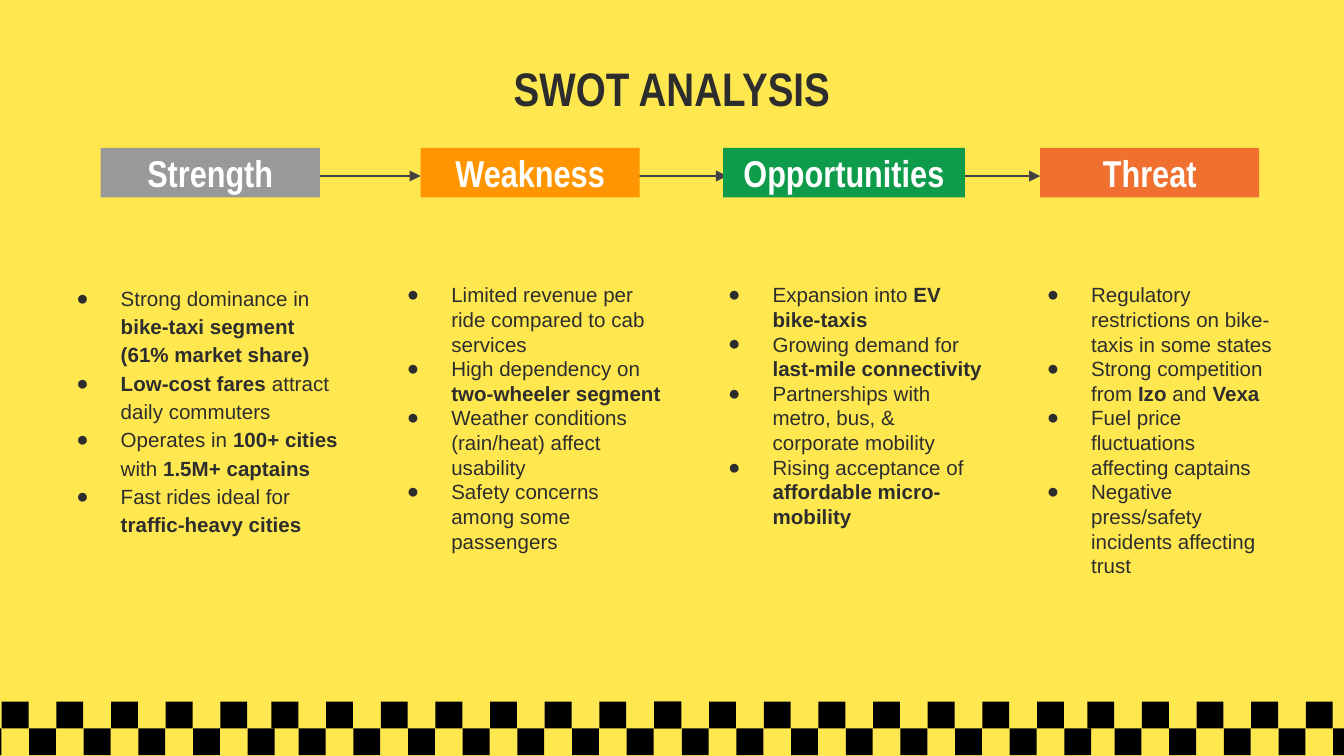
"""Build a SWOT analysis slide with four linked headings and a checkered footer."""
from lxml import etree
from pptx import Presentation
from pptx.dml.color import RGBColor
from pptx.enum.shapes import MSO_CONNECTOR, MSO_SHAPE
from pptx.enum.text import MSO_ANCHOR, PP_ALIGN
from pptx.oxml.ns import qn
from pptx.util import Inches, Pt

RECT = MSO_SHAPE.RECTANGLE
STRAIGHT = MSO_CONNECTOR.STRAIGHT
TOP, MIDDLE = MSO_ANCHOR.TOP, MSO_ANCHOR.MIDDLE
CENTER = PP_ALIGN.CENTER
INK = "2D2D2D"


def rgb(value):
    return RGBColor.from_string(value)


def write(sp, paragraphs, size, font, color, anchor):
    tf = sp.text_frame
    tf.word_wrap = True
    tf.vertical_anchor = anchor
    tf.margin_left = tf.margin_right = tf.margin_top = tf.margin_bottom = Inches(0.1)
    for i, text in enumerate(paragraphs):
        p = tf.add_paragraph() if i else tf.paragraphs[0]
        for j, part in enumerate(text.split("*")):
            if part:
                r = p.add_run()
                r.text = part
                r.font.size = Pt(size)
                r.font.name = font
                r.font.bold = j % 2 == 1
                r.font.color.rgb = rgb(color)
    return tf.paragraphs


prs = Presentation()
prs.slide_width, prs.slide_height = Inches(10), Inches(10 * 9 / 16)
s = prs.slides.add_slide(prs.slide_layouts[6])
s.background.fill.solid()
s.background.fill.fore_color.rgb = rgb("FFE750")

for start, end in [(1.97, 3.13), (4.25, 5.41), (6.58, 7.74)]:
    arrow = s.shapes.add_connector(STRAIGHT, Inches(start), Inches(1.31), Inches(end), Inches(1.31))
    arrow.line.color.rgb = rgb("434343")
    arrow.line.width = Pt(1.5)
    etree.SubElement(arrow.get_or_add_ln(), qn("a:tailEnd"), type="triangle")
    etree.SubElement(arrow._element.spPr, qn("a:effectLst"))

ROW_TOPS = [5.22, 5.42]
SQUARE_PITCH = 0.2 + 0.01 / 3
for left, count, first_row in [(-0.19, 11, 1), (2.02, 15, 0), (4.87, 16, 0), (8.09, 10, 0)]:
    for i in range(count):
        top = ROW_TOPS[(first_row + i) % 2]
        sp = s.shapes.add_shape(RECT, Inches(left + i * SQUARE_PITCH), Inches(top), Inches(0.2), Inches(0.2))
        sp.shadow.inherit = False
        sp.fill.solid()
        sp.fill.fore_color.rgb = rgb("000000")
        sp.line.fill.background()

title = s.shapes.add_textbox(Inches(0.5), Inches(0.45), Inches(9), Inches(0.41))
write(title, ["*SWOT ANALYSIS*"], 25.2, "Arial Narrow", INK, MIDDLE)[0].alignment = CENTER

headings = [
    ("Strength", 0.75, 1.63, "999999"),
    ("Weakness", 3.13, 1.63, "FF9500"),
    ("Opportunities", 5.38, 1.8, "0E9C4A"),
    ("Threat", 7.74, 1.63, "EF702F"),
]
for name, left, width, color in headings:
    sp = s.shapes.add_shape(RECT, Inches(left), Inches(1.1), Inches(width), Inches(0.37))
    sp.shadow.inherit = False
    sp.fill.solid()
    sp.fill.fore_color.rgb = rgb(color)
    sp.line.fill.background()
    write(sp, [f"*{name}*"], 20, "Arial Narrow", "FFFFFF", MIDDLE)[0].alignment = CENTER

columns = [
    (0.3, 2.39, 1.15, [
        "Strong dominance in *bike-taxi segment (61% market share)*",
        "*Low-cost fares* attract daily commuters",
        "Operates in *100+ cities* with *1.5M+ captains*",
        "Fast rides ideal for *traffic-heavy cities*",
    ]),
    (2.76, 2.3, 1.0, [
        "Limited revenue per ride compared to cab services",
        "High dependency on *two-wheeler segment*",
        "Weather conditions (rain/heat) affect usability",
        "Safety concerns among some passengers",
    ]),
    (5.15, 2.28, 1.0, [
        "Expansion into *EV bike-taxis*",
        "Growing demand for *last-mile connectivity*",
        "Partnerships with metro, bus, & corporate mobility",
        "Rising acceptance of *affordable micro-mobility*",
    ]),
    (7.52, 2.08, 1.0, [
        "Regulatory restrictions on bike-taxis in some states",
        "Strong competition from *Izo* and *Vexa*",
        "Fuel price fluctuations affecting captains",
        "Negative press/safety incidents affecting trust",
    ]),
]
for left, width, spacing, points in columns:
    sp = s.shapes.add_textbox(Inches(left), Inches(2), Inches(width), Inches(2.83))
    for p in write(sp, points, 11, "Arial", INK, TOP):
        pPr = p._p.get_or_add_pPr()
        pPr.set("marL", str(Inches(0.5)))
        pPr.set("indent", str(Inches(-0.33)))
        bullet_color = etree.SubElement(pPr, qn("a:buClr"))
        etree.SubElement(bullet_color, qn("a:srgbClr"), val=INK)
        etree.SubElement(pPr, qn("a:buFont"), typeface="Arial")
        etree.SubElement(pPr, qn("a:buChar"), char="●")
        p.line_spacing = spacing

prs.save("out.pptx")
